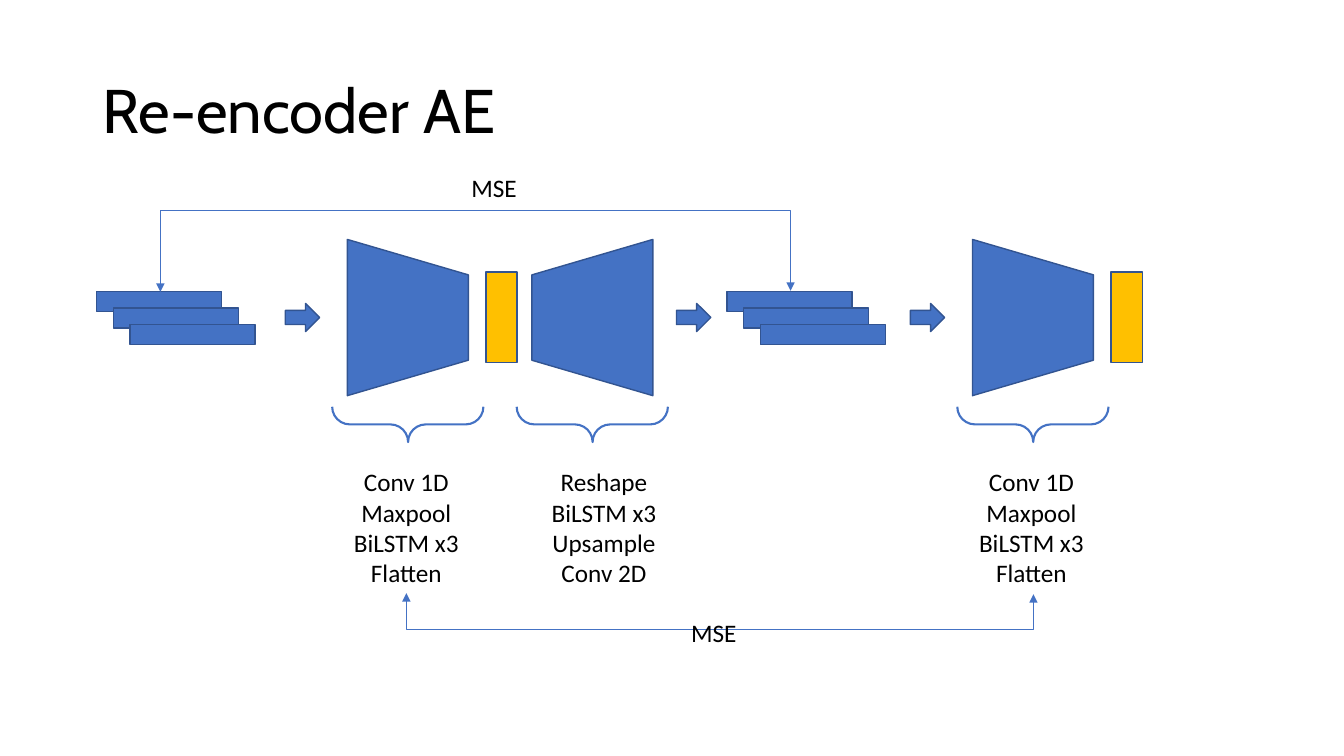
from lxml import etree
from pptx import Presentation
from pptx import util as u
from pptx.dml.color import RGBColor
from pptx.enum import shapes, text
from pptx.oxml import ns

COLORS = {"blue": "4472C4", "outline": "325491", "gold": "FFC000", "text": "000000"}
ENCODER_LAYERS = ["Conv 1D", "Maxpool", "BiLSTM x3", "Flatten"]
DECODER_LAYERS = ["Reshape", "BiLSTM x3", "Upsample", "Conv 2D"]


class DiagramSlide:
    """Draws the elements of an autoencoder diagram in one shared style."""

    frame_format = {"word_wrap": True, "auto_size": text.MSO_AUTO_SIZE.SHAPE_TO_FIT_TEXT}
    title_format = {
        "word_wrap": True,
        "auto_size": text.MSO_AUTO_SIZE.NONE,
        "vertical_anchor": text.MSO_ANCHOR.MIDDLE,
    }
    label_font = {"name": "Calibri", "size": u.Pt(18)}
    title_font = {"name": "Cabin", "size": u.Pt(44)}
    label_paragraph = {"alignment": text.PP_ALIGN.CENTER}
    title_paragraph = {"line_spacing": 0.9}

    def __init__(self, slide):
        self.slide = slide

    def apply(self, target, values):
        for name, value in values.items():
            setattr(target, name, value)

    def color(self, name):
        return RGBColor.from_string(COLORS[name])

    def shape(self, kind, box, fill="blue", line="outline", width=1, rotation=0, adjustments=()):
        shape = self.slide.shapes.add_shape(kind, *map(u.Inches, box))
        shape.shadow.inherit = False
        shape.rotation = rotation
        for index, value in enumerate(adjustments):
            shape.adjustments[index] = value
        if fill:
            shape.fill.solid()
            shape.fill.fore_color.rgb = self.color(fill)
        else:
            shape.fill.background()
        shape.line.color.rgb = self.color(line)
        shape.line.width = u.Pt(width)

    def text_box(self, box, lines, frame_format, paragraph_format, font_format):
        frame = self.slide.shapes.add_textbox(*map(u.Inches, box)).text_frame
        self.apply(frame, frame_format)
        frame.text = "\n".join(lines)
        for paragraph in frame.paragraphs:
            self.apply(paragraph, paragraph_format)
            for run in paragraph.runs:
                self.apply(run.font, font_format)
                run.font.color.rgb = self.color("text")

    def title(self, box, wording):
        self.text_box(box, [wording], self.title_format, self.title_paragraph, self.title_font)

    def label(self, box, lines):
        self.text_box(box, lines, self.frame_format, self.label_paragraph, self.label_font)

    def signal(self, left, top):
        for index in range(3):
            offset = index * 0.165
            box = (left + offset, top + offset, 1.24, 0.2)
            self.shape(shapes.MSO_SHAPE.RECTANGLE, box)

    def network(self, left, layers, label_width, rotation):
        self.shape(shapes.MSO_SHAPE.TRAPEZOID, (left, 2.55, 1.55, 1.2),
                   rotation=rotation, adjustments=[0.293])
        self.shape(shapes.MSO_SHAPE.LEFT_BRACE, (left + 0.6, 3.46, 0.35, 1.5), fill=None,
                   line="blue", width=1.5, rotation=270, adjustments=[0.5, 0.502])
        self.label((left + 0.14, 4.58, label_width, 1.31), layers)

    def code(self, left):
        self.shape(shapes.MSO_SHAPE.RECTANGLE, (left, 2.7, 0.31, 0.9), fill="gold")

    def flow(self, left):
        self.shape(shapes.MSO_SHAPE.RIGHT_ARROW, (left, 3.01, 0.34, 0.28))

    def loss(self, left, right, end_y, turn_y):
        below = turn_y > end_y
        thickness = 0.01
        center_x = (left + right) / 2
        half_span = (right - left) / 2 * (-1 if below else 1)
        ends = (center_x + thickness / 2, end_y + half_span,
                center_x - thickness / 2, end_y - half_span)
        connector = self.slide.shapes.add_connector(
            shapes.MSO_CONNECTOR.ELBOW, *map(u.Inches, ends))
        connector.line.color.rgb = self.color("blue")
        connector.line.width = u.Pt(0.5)
        properties = connector._element.spPr
        properties.find(ns.qn("a:xfrm")).set("rot", str((270 if below else 90) * 60000))
        depth = abs(turn_y - end_y) + thickness / 2
        guides = properties.find(ns.qn("a:prstGeom")).find(ns.qn("a:avLst"))
        etree.SubElement(guides, ns.qn("a:gd"), name="adj1",
                         fmla=f"val {round(depth / thickness * 100000)}")
        outline = properties.find(ns.qn("a:ln"))
        for end in ("a:headEnd", "a:tailEnd"):
            etree.SubElement(outline, ns.qn(end), type="triangle")
        etree.SubElement(properties, ns.qn("a:effectLst"))


def main():
    presentation = Presentation()
    presentation.slide_width = u.Inches(13.33)
    presentation.slide_height = u.Inches(7.5)
    diagram = DiagramSlide(presentation.slides.add_slide(presentation.slide_layouts[6]))

    diagram.title((0.92, 0.4, 11.5, 1.45), "Re-encoder AE")
    for left in (0.96, 7.21):
        diagram.signal(left, 2.89)
    for left, layers, label_width, rotation in (
        (3.27, ENCODER_LAYERS, 1.24, 90),
        (5.1, DECODER_LAYERS, 1.5, 270),
        (9.47, ENCODER_LAYERS, 1.24, 90),
    ):
        diagram.network(left, layers, label_width, rotation)
    for left in (4.82, 11.02):
        diagram.code(left)
    for left in (2.83, 6.71, 9.03):
        diagram.flow(left)
    diagram.loss(4.03, 10.25, 5.89, 6.25)
    diagram.loss(1.59, 7.84, 2.89, 2.07)
    for left, top in ((6.33, 6.08), (4.15, 1.66)):
        diagram.label((left, top, 1.5, 0.4), ["MSE"])

    presentation.save("out.pptx")


if __name__ == "__main__":
    main()
